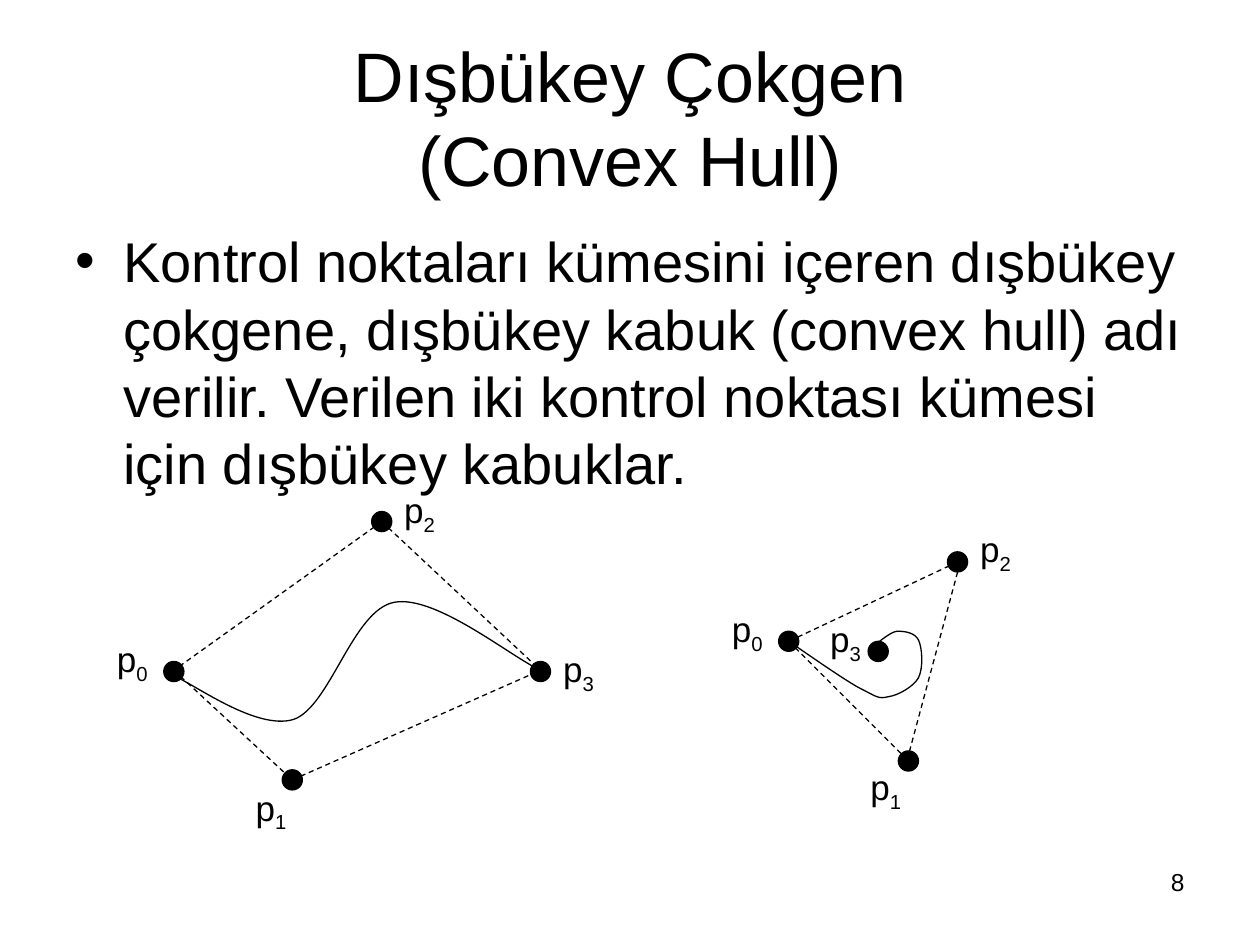
import pptx
import pptx.util
from pptx.dml.color import RGBColor
from pptx.enum.dml import MSO_LINE
from pptx.enum.shapes import MSO_CONNECTOR, MSO_SHAPE
from pptx.enum.text import MSO_ANCHOR, MSO_AUTO_SIZE, PP_ALIGN
from pptx.oxml.ns import qn
from pptx.util import Inches, Pt
from lxml import etree

BLACK = RGBColor(0, 0, 0)
FONT = "Arial"
DOT = 0.16

TITLE = "Dışbükey Çokgen\v(Convex Hull)"
BODY = ("Kontrol noktaları kümesini içeren dışbükey çokgene, dışbükey kabuk "
        "(convex hull) adı verilir. Verilen iki kontrol noktası kümesi için "
        "dışbükey kabuklar.")
PAGE = "8"

# Points are (centre, label corner); a curve is a start and cubic Bézier triples.
HULLS = [
    {"points": [((1.38, 5.33), (0.83, 5.01)), ((2.32, 6.19), (1.93, 6.19)),
                ((3.03, 4.14), (3.11, 3.83)), ((4.29, 5.33), (4.37, 5.09))],
     "edges": [((1.38, 5.32), (2.32, 6.19)), ((3.03, 4.14), (1.38, 5.32)),
               ((3.03, 4.14), (4.29, 5.32)), ((2.32, 6.19), (4.29, 5.32))],
     "curve": [(1.37, 5.36),
               (1.53, 5.42), (2.03, 5.8), (2.33, 5.71),
               (2.62, 5.61), (2.8, 4.84), (3.13, 4.78),
               (3.46, 4.72), (4.05, 5.21), (4.29, 5.32)]},
    {"points": [((6.26, 5.09), (5.71, 4.77)), ((7.21, 6.04), (6.81, 6.03)),
                ((7.6, 4.46), (7.68, 4.14)), ((6.97, 5.17), (6.49, 4.85))],
     "edges": [((7.6, 4.46), (6.26, 5.09)), ((7.6, 4.54), (7.2, 6.03)),
               ((6.26, 5.09), (7.2, 6.03))],
     "curve": [(6.26, 5.09),
               (6.35, 5.15), (6.69, 5.39), (6.82, 5.46),
               (6.96, 5.53), (6.97, 5.55), (7.05, 5.53),
               (7.13, 5.52), (7.25, 5.45), (7.29, 5.38),
               (7.33, 5.3), (7.32, 5.14), (7.29, 5.08),
               (7.26, 5.02), (7.18, 5.01), (7.12, 5.01),
               (7.06, 5.02), (6.99, 5.09), (6.95, 5.11)]},
]


def place(shape, left, top, width, height):
    shape.left, shape.top = Inches(left), Inches(top)
    shape.width, shape.height = Inches(width), Inches(height)


def format_runs(p, size):
    p.space_before = Pt(0)
    for r in p.runs:
        r.font.name, r.font.size = FONT, Pt(size)
        r.font.color.rgb = BLACK


def outline(shape):
    shape.line.color.rgb = BLACK
    shape.line.width = Pt(0.75)


def add_text(s, box, text, size):
    tf = s.shapes.add_textbox(*map(Inches, box)).text_frame
    tf.word_wrap = True
    p = tf.paragraphs[0]
    p.text = text
    format_runs(p, size)
    return p


def add_label(s, corner, index):
    p = add_text(s, (*corner, 0.71, 0.48), "p", 20)
    r = p.add_run()
    r.text = str(index)
    format_runs(p, 20)
    r.font._element.set("baseline", "-25000")


def add_edge(s, start, end):
    line = s.shapes.add_connector(MSO_CONNECTOR.STRAIGHT,
                                  *map(Inches, (*start, *end)))
    outline(line)
    line.line.dash_style = MSO_LINE.DASH
    etree.SubElement(line._element.spPr, qn("a:effectLst"))


def add_dot(s, centre):
    x, y = centre
    dot = s.shapes.add_shape(MSO_SHAPE.OVAL, Inches(x - DOT / 2),
                             Inches(y - DOT / 2), Inches(DOT), Inches(DOT))
    dot.shadow.inherit = False
    dot.fill.solid()
    dot.fill.fore_color.rgb = BLACK
    outline(dot)


def add_curve(s, controls):
    """Draw the control points as a freeform, then turn each three into a Bézier."""
    start, *rest = [tuple(map(Inches, point)) for point in controls]
    builder = s.shapes.build_freeform(*start)
    builder.add_line_segments(rest, close=False)
    curve = builder.convert_to_shape()
    segments = list(curve._element.iter(qn("a:lnTo")))
    outline_path = segments[0].getparent()
    for i in range(0, len(segments), 3):
        bezier = etree.SubElement(outline_path, qn("a:cubicBezTo"))
        for segment in segments[i:i + 3]:
            bezier.append(segment[0])
            outline_path.remove(segment)
    curve.shadow.inherit = False
    curve.fill.background()
    outline(curve)


def main():
    prs = pptx.Presentation()
    prs.slide_width, prs.slide_height = Inches(10), Inches(7.5)
    s = prs.slides.add_slide(prs.slide_layouts[1])

    title, body = s.shapes.title, s.placeholders[1]
    place(title, 0.5, 0.3, 9, 1.25)
    place(body, 0.5, 1.75, 9, 4.95)
    for holder, text, size in ((title, TITLE, 40), (body, BODY, 32)):
        tf = holder.text_frame
        tf.text = text
        tf.auto_size = MSO_AUTO_SIZE.NONE
        format_runs(tf.paragraphs[0], size)
    title.text_frame.vertical_anchor = MSO_ANCHOR.MIDDLE
    title.text_frame.paragraphs[0].alignment = PP_ALIGN.CENTER

    pPr = body.text_frame.paragraphs[0]._p.get_or_add_pPr()
    pPr.set("marL", str(Inches(0.38)))
    pPr.set("indent", str(-Inches(0.38)))
    etree.SubElement(pPr, qn("a:buFont"), typeface=FONT)
    etree.SubElement(pPr, qn("a:buChar"), char="•")

    for hull in HULLS:
        add_curve(s, hull["curve"])
        for start, end in hull["edges"]:
            add_edge(s, start, end)
        for index, (centre, corner) in enumerate(hull["points"]):
            add_dot(s, centre)
            add_label(s, corner, index)

    add_text(s, (7.17, 6.83, 2.33, 0.52), PAGE, 14).alignment = PP_ALIGN.RIGHT
    prs.save("out.pptx")


if __name__ == "__main__":
    main()
